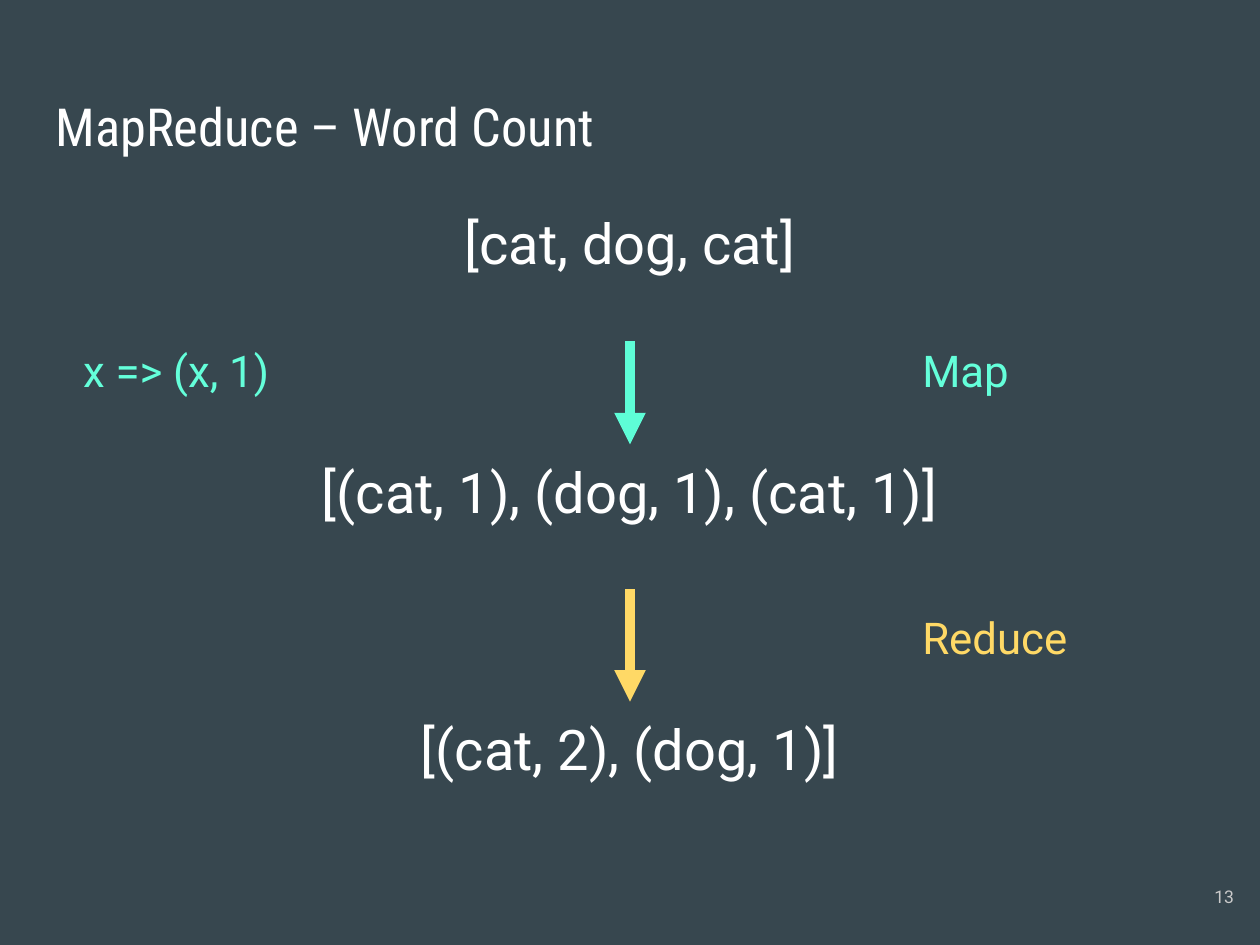
"""Build the MapReduce word count slide."""
from typing import NamedTuple

from lxml.etree import SubElement
from pptx import Presentation
from pptx.dml.color import RGBColor
from pptx.enum.shapes import MSO_CONNECTOR
from pptx.enum.text import MSO_ANCHOR, MSO_AUTO_SIZE, PP_ALIGN
from pptx.oxml.ns import qn
from pptx.util import Pt

SLATE = RGBColor(0x37, 0x47, 0x4F)
WHITE = RGBColor(0xFF, 0xFF, 0xFF)
MINT = RGBColor(0x64, 0xFF, 0xDA)
MINT_ARROW = RGBColor(0x5E, 0xFD, 0xD7)
AMBER = RGBColor(0xFF, 0xD9, 0x66)
GREY = RGBColor(0xCA, 0xCA, 0xCA)

SLIDE_WIDTH, SLIDE_HEIGHT = 720, 540
STATE_HEIGHT = 82.8
LABEL_HEIGHT = 46.8
MAP_TOP, REDUCE_TOP = 189.4, 342
FRAME_FORMAT = {
    "word_wrap": True,
    "auto_size": MSO_AUTO_SIZE.NONE,
    "margin_left": Pt(7.2),
    "margin_right": Pt(7.2),
    "margin_top": Pt(7.2),
    "margin_bottom": Pt(7.2),
}


class Caption(NamedTuple):
    text: str
    left: float
    top: float
    width: float
    height: float
    size: float
    color: RGBColor
    align: PP_ALIGN = PP_ALIGN.LEFT
    anchor: MSO_ANCHOR = MSO_ANCHOR.TOP
    font: str = "Roboto"


class State(NamedTuple):
    text: str
    top: float
    width: float


TITLE = Caption("MapReduce – Word Count", 24.5, 46.8, 671, 59.8, 30, WHITE,
                font="Roboto Condensed")
STATES = [
    State("[cat, dog, cat]", 112, 662),
    State("[(cat, 1), (dog, 1), (cat, 1)]", 254, 655),
    State("[(cat, 2), (dog, 1)]", 401, 496),
]
LABELS = [
    Caption("x => (x, 1)", 40.4, MAP_TOP, 154, LABEL_HEIGHT, 25, MINT),
    Caption("Map", 520, MAP_TOP, 125.3, LABEL_HEIGHT, 25, MINT),
    Caption("Reduce", 520, REDUCE_TOP, 125.3, LABEL_HEIGHT, 25, AMBER),
    Caption("13", 669, 492, 43.2, 41, 10, GREY, PP_ALIGN.RIGHT, MSO_ANCHOR.MIDDLE),
]
ARROW_COLORS = [MINT_ARROW, AMBER]


def set_all(target: object, values: dict) -> None:
    for name, value in values.items():
        setattr(target, name, value)


def write(shape, caption: Caption) -> None:
    set_all(shape, {
        "left": Pt(caption.left), "top": Pt(caption.top),
        "width": Pt(caption.width), "height": Pt(caption.height),
    })
    frame = shape.text_frame
    set_all(frame, FRAME_FORMAT | {"vertical_anchor": caption.anchor})
    paragraph = frame.paragraphs[0]
    paragraph.alignment = caption.align
    run = paragraph.add_run()
    run.text = caption.text
    set_all(run.font, {"name": caption.font, "size": Pt(caption.size)})
    run.font.color.rgb = caption.color


def add_caption(slide, caption: Caption):
    box = slide.shapes.add_textbox(0, 0, 0, 0)
    write(box, caption)
    return box


def add_state(slide, state: State):
    left = (SLIDE_WIDTH - state.width) / 2
    return add_caption(slide, Caption(state.text, left, state.top, state.width,
                                      STATE_HEIGHT, 32, WHITE, PP_ALIGN.CENTER))


def add_arrow(slide, source, target, color: RGBColor) -> None:
    arrow = slide.shapes.add_connector(MSO_CONNECTOR.STRAIGHT, 0, 0, 0, 0)
    arrow.begin_connect(source, 2)
    arrow.end_connect(target, 0)
    arrow.line.width = Pt(6)
    arrow.line.color.rgb = color
    properties = arrow._element.spPr
    SubElement(properties.find(qn("a:ln")), qn("a:tailEnd"), type="triangle")
    SubElement(properties, qn("a:effectLst"))


def main() -> None:
    presentation = Presentation()
    set_all(presentation, {"slide_width": Pt(SLIDE_WIDTH), "slide_height": Pt(SLIDE_HEIGHT)})
    slide = presentation.slides.add_slide(presentation.slide_layouts[5])
    background = slide.background.fill
    background.solid()
    background.fore_color.rgb = SLATE

    write(slide.shapes.title, TITLE)
    states = [add_state(slide, state) for state in STATES]
    for label in LABELS:
        add_caption(slide, label)
    for source, target, color in zip(states, states[1:], ARROW_COLORS):
        add_arrow(slide, source, target, color)

    presentation.save("out.pptx")


if __name__ == "__main__":
    main()
